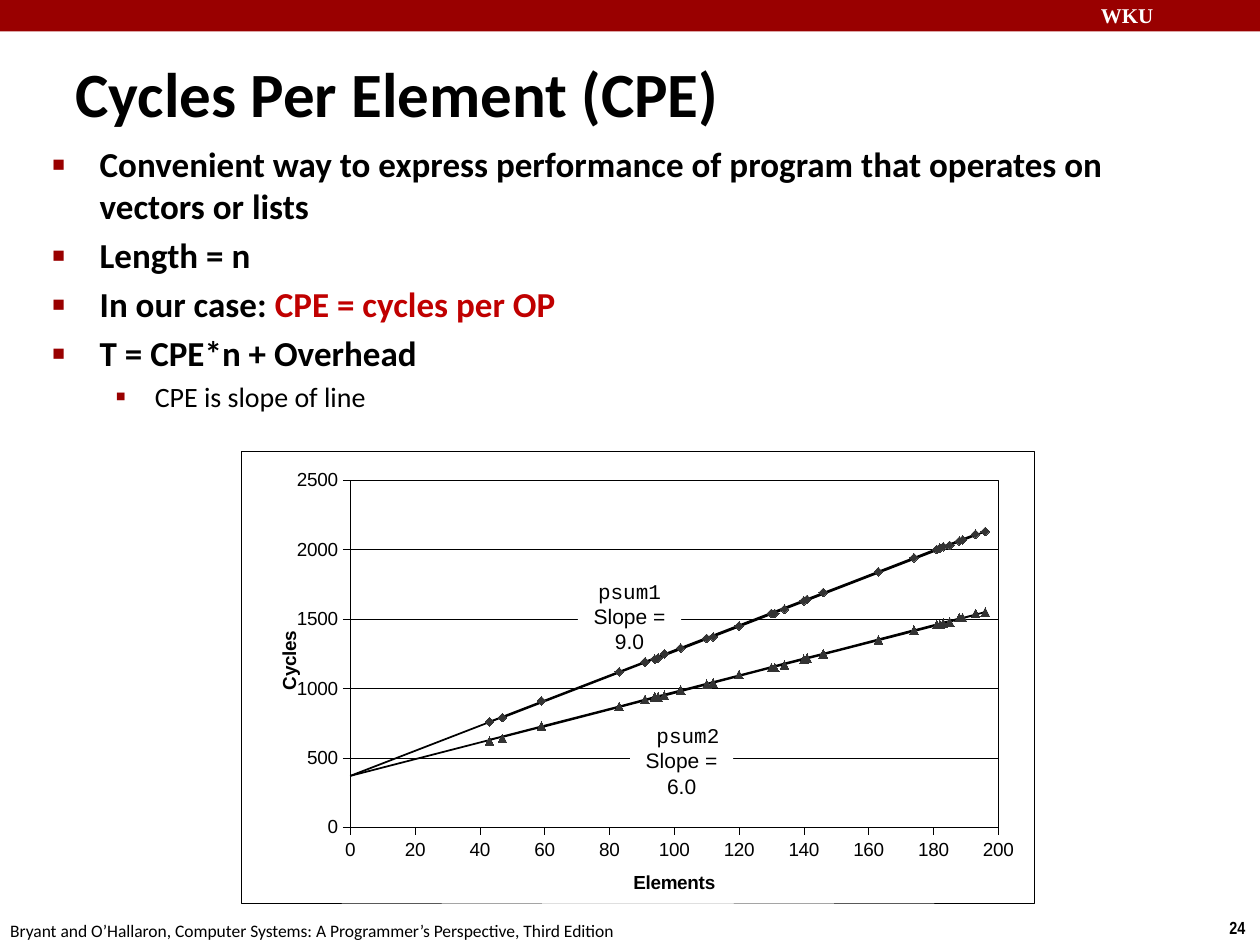
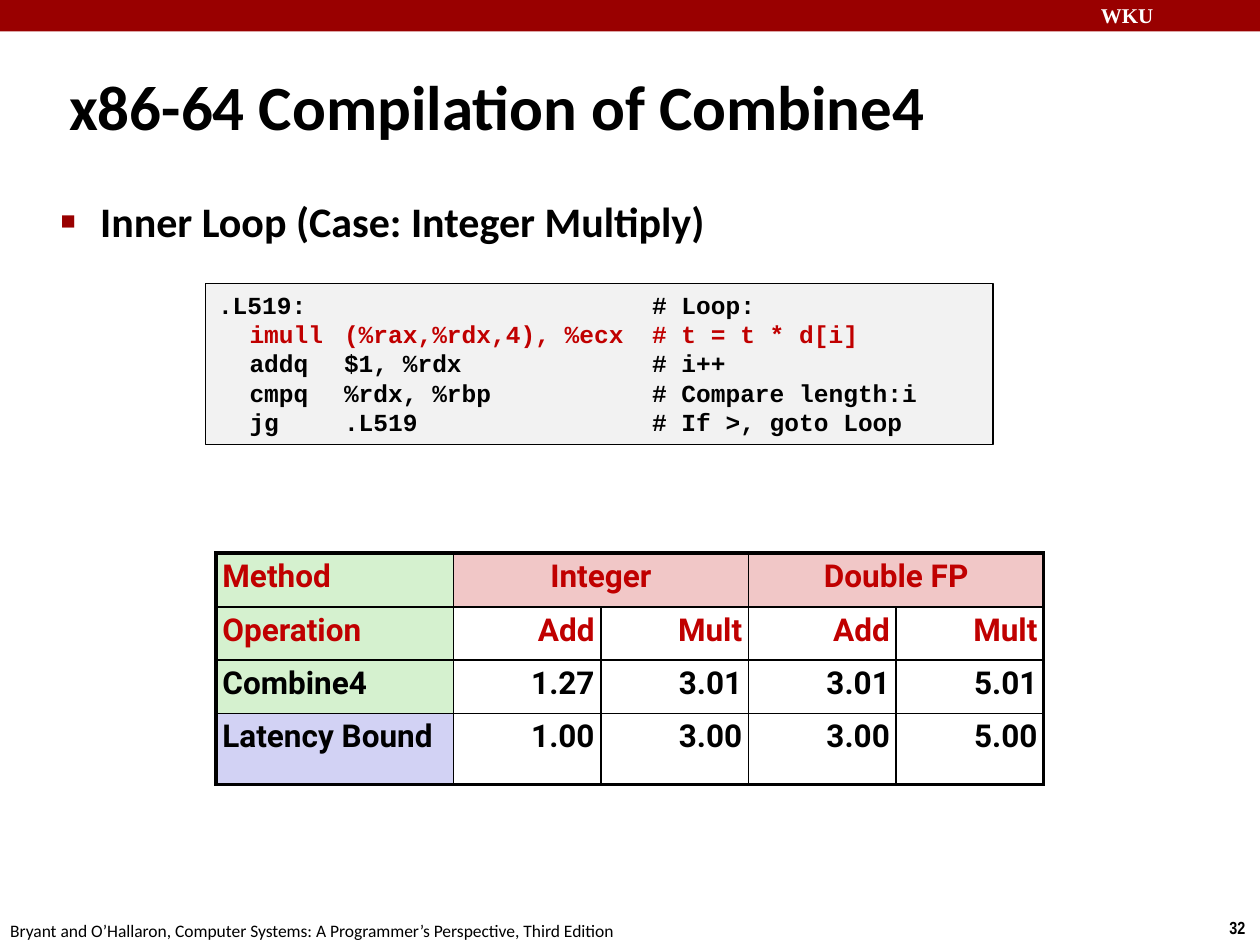
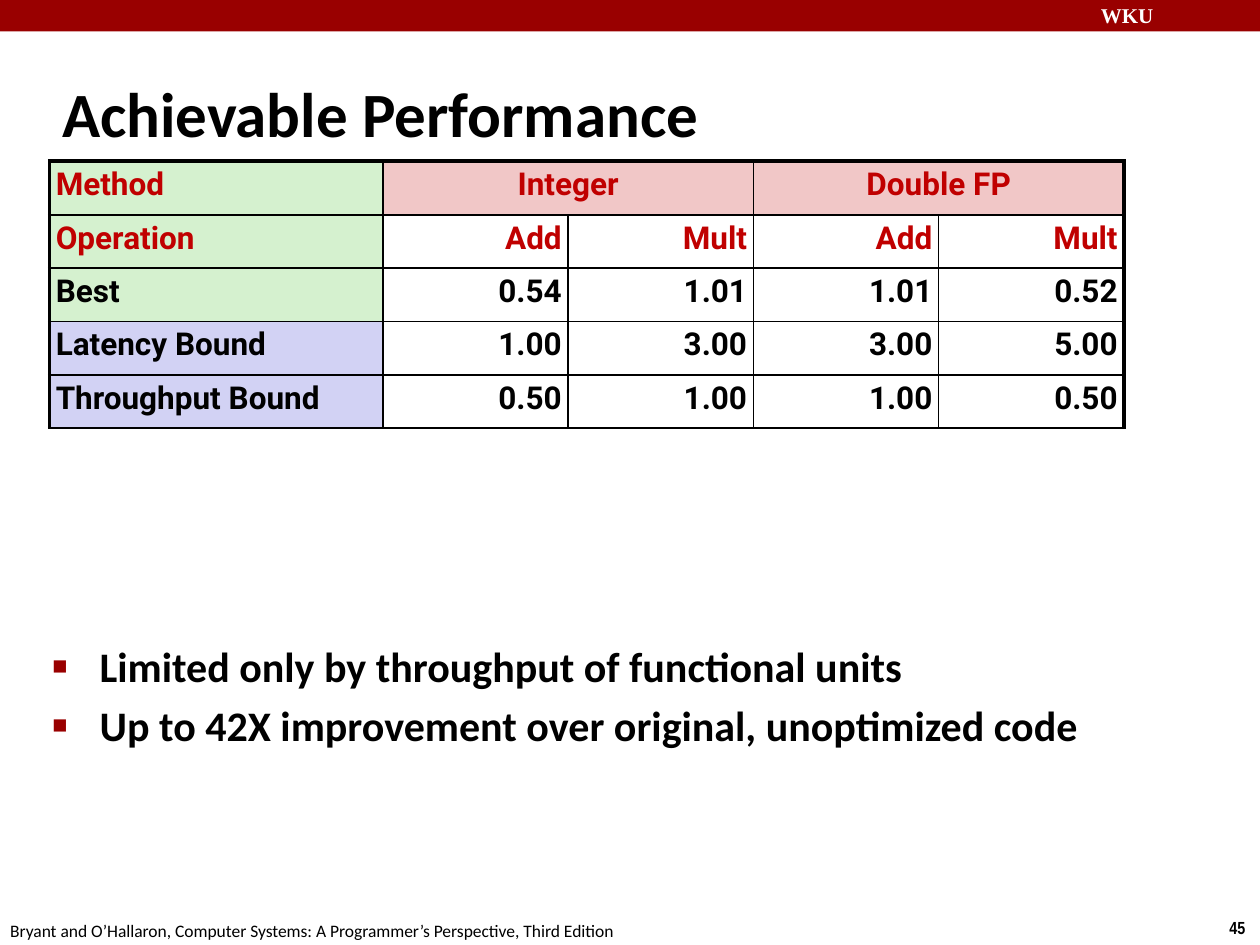
"""Build three slides on measuring and optimizing program performance."""
from dataclasses import dataclass

import lxml.etree
import pptx
import pptx.chart.data
import pptx.dml.color
import pptx.enum.chart
import pptx.enum.shapes
import pptx.enum.text
import pptx.oxml
import pptx.oxml.ns
import pptx.util

Pt = pptx.util.Pt
qn = pptx.oxml.ns.qn
Align = pptx.enum.text.PP_ALIGN
Anchor = pptx.enum.text.MSO_ANCHOR
AutoSize = pptx.enum.text.MSO_AUTO_SIZE
Marker = pptx.enum.chart.XL_MARKER_STYLE


@dataclass(frozen=True)
class Theme:
    black: str = "000000"
    white: str = "FFFFFF"
    band: str = "990000"
    accent: str = "C00000"
    marker: str = "333333"
    code_fill: str = "F2F2F2"
    method_fill: str = "D5F1CF"
    type_fill: str = "F1C7C7"
    bound_fill: str = "D2D2F4"
    text_font: str = "Calibri"
    code_font: str = "Courier New"
    chart_font: str = "Arial"
    table_font: str = "Roboto"
    title_size: float = 36
    table_size: float = 18
    code_size: float = 14
    label_size: float = 12
    chart_size: float = 10.8
    footer_size: float = 10
    thick: float = 2.25
    thin: float = 1
    hairline: float = 0.25


FOOTER = "Bryant and O’Hallaron, Computer Systems: A Programmer’s Perspective, Third Edition"

ELEMENTS = [0, 193, 120, 91, 95, 196, 97, 181, 91, 83, 43, 183, 140, 146, 94, 134,
            163, 131, 110, 182, 189, 112, 141, 185, 188, 47, 130, 102, 59, 174]
PSUM1_MEASURED = [None, 2110, 1450, 1190, 1220, 2130, 1250, 2000, 1190, 1120, 760,
                  2020, 1630, 1690, 1210, 1570, 1840, 1540, 1360, 2010, 2070,
                  1370, 1640, 2030, 2060, 790, 1540, 1290, 910, 1940]
PSUM1_FITTED = [370, 2110, 1450, 1190, 1220, 2130, 1240, 2000, 1190, 1120, 760,
                2020, 1630, 1680, 1220, 1580, 1840, 1550, 1360, 2010, 2070,
                1380, 1640, 2040, 2060, 790, 1540, 1290, 900, 1940]
PSUM2_MEASURED = [None, 1540, 1100, 920, 940, 1550, 950, 1460, 920, 870, 620,
                  1470, 1210, 1250, 940, 1170, 1350, 1150, 1030, 1460, 1510,
                  1040, 1220, 1480, 1510, 640, 1150, 990, 730, 1420]
PSUM2_FITTED = [370, 1530, 1090, 920, 940, 1550, 950, 1460, 920, 870, 630,
                1470, 1210, 1250, 930, 1180, 1350, 1160, 1030, 1460, 1510,
                1040, 1220, 1480, 1500, 650, 1150, 980, 720, 1420]
CHART_SERIES = [
    ("Series 1", PSUM1_MEASURED, Marker.DIAMOND),
    ("Series 2", PSUM1_FITTED, Marker.NONE),
    ("Series 3", PSUM2_MEASURED, Marker.TRIANGLE),
    ("Series 4", PSUM2_FITTED, Marker.NONE),
]

TABLE_HEAD = [
    ["Method", "Integer", "", "Double FP", ""],
    ["Operation", "Add", "Mult", "Add", "Mult"],
]
LATENCY_ROW = ["Latency Bound", "1.00", "3.00", "3.00", "5.00"]

INNER_LOOP = [
    ".L519:\t\t# Loop:",
    "\timull\t(%rax,%rdx,4), %ecx\t# t = t * d[i]",
    "\taddq\t$1, %rdx\t# i++",
    "\tcmpq\t%rdx, %rbp\t# Compare length:i",
    "\tjg\t.L519\t# If >, goto Loop",
]


def color(value):
    return pptx.dml.color.RGBColor.from_string(value)


def points(*lengths):
    return [Pt(length) for length in lengths]


def child(parent, tag, **attributes):
    return lxml.etree.SubElement(parent, qn(tag), attributes)


class Deck:
    def __init__(self, theme):
        self.theme = theme
        self.presentation = pptx.Presentation()
        self.presentation.slide_width = Pt(720)
        self.presentation.slide_height = Pt(540)
        self.slide = None

    def style(self, font, name, size, value=None, bold=False):
        font.name, font.size, font.bold = name, Pt(size), bold
        font.color.rgb = color(value or self.theme.black)

    def style_runs(self, paragraph, *style, **options):
        for run in paragraph.runs:
            self.style(run.font, *style, **options)

    def indent(self, paragraph, margin, hanging):
        properties = paragraph._p.get_or_add_pPr()
        properties.set("marL", str(Pt(margin)))
        properties.set("indent", str(-Pt(hanging)))
        return properties

    def add_slide(self, title, title_place, number):
        theme = self.theme
        self.slide = self.presentation.slides.add_slide(self.presentation.slide_layouts[1])
        self.add_box((0, 0, 720, 18), theme.band)
        self.add_text("WKU", (622, -2, 103, 21.5), "Times New Roman",
                      theme.label_size, theme.white, bold=True, wrap=True)
        self.add_text(str(number), (695.5, 520.5, 24.5, 19.5), "Arial Narrow",
                      theme.footer_size, bold=True)
        self.add_text(FOOTER, (-1.25, 522, 366, 19.5), theme.text_font, theme.footer_size)
        shape = self.slide.shapes.title
        self.place(shape, title_place)
        frame = shape.text_frame
        frame.text = title
        frame.auto_size = AutoSize.NONE
        frame.vertical_anchor = Anchor.MIDDLE
        paragraph = frame.paragraphs[0]
        paragraph.alignment = Align.LEFT
        self.indent(paragraph, 9, 9)
        self.style_runs(paragraph, theme.text_font, theme.title_size, bold=True)

    def place(self, shape, place):
        shape.left, shape.top, shape.width, shape.height = points(*place)

    def add_text(self, text, place, name, size, value=None, bold=False, wrap=False):
        frame = self.slide.shapes.add_textbox(*points(*place)).text_frame
        frame.text = text
        frame.word_wrap = wrap
        frame.auto_size = AutoSize.SHAPE_TO_FIT_TEXT
        self.style_runs(frame.paragraphs[0], name, size, value, bold)

    def add_box(self, place, fill, line=None):
        shape = self.slide.shapes.add_shape(
            pptx.enum.shapes.MSO_SHAPE.RECTANGLE, *points(*place))
        shape.shadow.inherit = False
        shape.fill.solid()
        shape.fill.fore_color.rgb = color(fill)
        if line:
            self.style_line(shape.line, self.theme.thin)
        else:
            shape.line.fill.background()
        return shape

    def add_list(self, items, place, size, margin=27):
        shape = self.slide.placeholders[1]
        self.place(shape, place)
        frame = shape.text_frame
        frame.auto_size = AutoSize.NONE
        frame.text = "\n".join(text for level, text, accent in items)
        for index, (paragraph, (level, text, accent)) in enumerate(
                zip(frame.paragraphs, items)):
            item_size = size - 4 * level
            paragraph.level = level
            self.add_bullet(paragraph, level, margin)
            paragraph.space_before = Pt(0.2 * item_size if index else 0)
            if accent:
                paragraph.add_run().text = accent
            self.style_runs(paragraph, self.theme.text_font, item_size, bold=level == 0)
            if accent:
                paragraph.runs[-1].font.color.rgb = color(self.theme.accent)

    def add_bullet(self, paragraph, level, margin):
        properties = self.indent(paragraph, *((58.5, 22.5) if level else (margin, margin)))
        child(child(properties, "a:buClr"), "a:srgbClr", val=self.theme.band)
        child(properties, "a:buSzPct", val="110000" if level else "60000")
        child(properties, "a:buFont", typeface=self.theme.chart_font)
        child(properties, "a:buChar", char="▪" if level else "■")

    def add_code(self, lines, place, tab_stops, accent_line):
        theme = self.theme
        frame = self.add_box(place, theme.code_fill, theme.black).text_frame
        frame.text = "\n".join(lines)
        frame.word_wrap = True
        frame.vertical_anchor = Anchor.TOP
        for index, paragraph in enumerate(frame.paragraphs):
            paragraph.alignment = Align.LEFT
            tabs = child(paragraph._p.get_or_add_pPr(), "a:tabLst")
            for stop in tab_stops:
                child(tabs, "a:tab", pos=str(Pt(stop)), algn="l")
            self.style_runs(paragraph, theme.code_font, theme.code_size,
                            theme.accent if index == accent_line else theme.black, bold=True)

    def add_label(self, name, slope, left, top):
        theme = self.theme
        frame = self.add_box((left, top, 59, 26.5), theme.white).text_frame
        frame.text = f"{name}\nSlope = {slope}"
        frame.word_wrap = True
        frame.auto_size = AutoSize.SHAPE_TO_FIT_TEXT
        frame.vertical_anchor = Anchor.TOP
        frame.margin_left = frame.margin_top = frame.margin_right = Pt(2)
        frame.margin_bottom = 0
        for paragraph, font in zip(frame.paragraphs, (theme.code_font, theme.chart_font)):
            paragraph.alignment = Align.CENTER
            self.style_runs(paragraph, font, theme.label_size)

    def add_table(self, rows, place, first_width, bottom_width, last_height=30.5):
        left, top, width = place
        heights = [30.75] + [30.5] * (len(rows) - 2) + [last_height]
        table = self.slide.shapes.add_table(
            len(rows), len(rows[0]), *points(left, top, width, sum(heights))).table
        table.first_row = table.horz_banding = False
        other_width = (width - first_width) / (len(rows[0]) - 1)
        for index, column in enumerate(table.columns):
            column.width = Pt(other_width if index else first_width)
        for row, height in zip(table.rows, heights):
            row.height = Pt(height)
        for column in (1, 3):
            table.cell(0, column).merge(table.cell(0, column + 1))
        for row, texts in enumerate(rows):
            for column, text in enumerate(texts):
                cell = table.cell(row, column)
                if not cell.is_spanned:
                    self.format_cell(cell, text, row, column, len(rows) - 1, bottom_width)

    def format_cell(self, cell, text, row, column, last_row, bottom_width):
        theme = self.theme
        at_right = column + cell.span_width == 5
        borders = {
            "a:lnL": theme.thin if column else theme.thick,
            "a:lnR": theme.thick if at_right else theme.thin,
            "a:lnT": theme.thin if row else theme.thick,
            "a:lnB": bottom_width if row == last_row else theme.thin,
        }
        properties = cell._tc.get_or_add_tcPr()
        for tag, width in borders.items():
            line = child(properties, tag, w=str(Pt(width)))
            child(child(line, "a:solidFill"), "a:srgbClr", val=theme.black)
        if column and row:
            cell.fill.background()
        else:
            cell.fill.solid()
            first_fill = theme.bound_fill if "Bound" in text else theme.method_fill
            cell.fill.fore_color.rgb = color(theme.type_fill if column else first_fill)
        cell.margin_left = cell.margin_top = cell.margin_right = cell.margin_bottom = Pt(3.6)
        cell.text_frame.text = text
        paragraph = cell.text_frame.paragraphs[0]
        paragraph.line_spacing = 0.95
        if column:
            paragraph.alignment = Align.RIGHT if row else Align.CENTER
        self.style_runs(paragraph, theme.table_font, theme.table_size,
                        theme.black if row > 1 else theme.accent, bold=True)

    def add_chart(self, series_list, place):
        theme = self.theme
        data = pptx.chart.data.XyChartData()
        for name, values, marker in series_list:
            series = data.add_series(name)
            for elements, cycles in zip(ELEMENTS, values):
                series.add_data_point(elements, cycles)
        chart = self.slide.shapes.add_chart(
            pptx.enum.chart.XL_CHART_TYPE.XY_SCATTER, *points(*place), data).chart
        for point in list(chart.element.iter(qn("c:pt"))):
            if point.findtext(qn("c:v")) == "None":
                point.getparent().remove(point)
        chart.has_legend = chart.has_title = False
        self.style(chart.font, theme.chart_font, theme.chart_size)
        chart.plots[0].vary_by_categories = False
        for series, (name, values, marker) in zip(chart.plots[0].series, series_list):
            series.marker.style = marker
            if marker == Marker.NONE:
                self.style_line(series.format.line, theme.thin)
            else:
                series.format.line.fill.background()
                series.marker.size = 5
                series.marker.format.fill.solid()
                series.marker.format.fill.fore_color.rgb = color(theme.marker)
                series.marker.format.line.color.rgb = color(theme.marker)
        self.style_axis(chart.category_axis, "Elements", 200, 20, x=0.49, y=0.92)
        self.style_axis(chart.value_axis, "Cycles", 2500, 500, x=0.04, y=0.39)
        chart.value_axis.has_major_gridlines = True
        self.style_line(chart.value_axis.major_gridlines.format.line, theme.hairline)
        self.frame_chart(chart.element)

    def style_line(self, line, width):
        line.color.rgb = color(self.theme.black)
        line.width = Pt(width)

    def style_axis(self, axis, title, maximum, unit, **title_place):
        theme = self.theme
        axis.minimum_scale, axis.maximum_scale, axis.major_unit = 0, maximum, unit
        axis.has_major_gridlines = False
        axis.major_tick_mark = pptx.enum.chart.XL_TICK_MARK.OUTSIDE
        axis.minor_tick_mark = pptx.enum.chart.XL_TICK_MARK.NONE
        self.style(axis.tick_labels.font, theme.chart_font, theme.chart_size)
        self.style_line(axis.format.line, theme.hairline)
        frame = axis.axis_title.text_frame
        frame.text = title
        self.style_runs(frame.paragraphs[0], theme.chart_font, theme.chart_size, bold=True)
        self.set_layout(axis.axis_title._element, 1, xMode="edge", yMode="edge", **title_place)

    def set_layout(self, parent, position, **settings):
        for layout in parent.findall(qn("c:layout")):
            parent.remove(layout)
        layout = child(parent, "c:layout")
        manual = child(layout, "c:manualLayout")
        for tag, value in settings.items():
            child(manual, f"c:{tag}", val=str(value))
        parent.insert(position, layout)

    def frame_chart(self, chart_space):
        body = chart_space.find(qn("c:chart"))
        plot_area = body.find(qn("c:plotArea"))
        self.set_layout(plot_area, 0, layoutTarget="inner", xMode="edge", yMode="edge",
                        x=0.137, y=0.063, w=0.818, h=0.77)
        self.add_frame(plot_area)
        body.addnext(self.add_frame(chart_space))
        body.addprevious(child(chart_space, "c:roundedCorners", val="0"))

    def add_frame(self, parent):
        properties = child(parent, "c:spPr")
        fill = child(properties, "a:solidFill")
        child(fill, "a:srgbClr", val=self.theme.white)
        line = child(properties, "a:ln", w=str(Pt(self.theme.hairline)))
        child(child(line, "a:solidFill"), "a:srgbClr", val=self.theme.black)
        return properties


def main():
    theme = Theme()
    deck = Deck(theme)

    deck.add_slide("Cycles Per Element (CPE)", (36, 30, 641, 45.5), 24)
    deck.add_list([
        (0, "Convenient way to express performance of program that operates on "
            "vectors or lists", ""),
        (0, "Length = n", ""),
        (0, "In our case: ", "CPE = cycles per OP"),
        (0, "T = CPE*n + Overhead", ""),
        (1, "CPE is slope of line", ""),
    ], (22.75, 78, 654.5, 119.5), 20)
    deck.add_chart(CHART_SERIES, (138, 258, 453, 258))
    deck.add_label("psum1", "9.0", 330.25, 328.5)
    deck.add_label(" psum2", "6.0", 360, 411)

    deck.add_slide("x86-64 Compilation of Combine4", (32.25, 30, 597.5, 60), 32)
    deck.add_list([(0, "Inner Loop (Case: Integer Multiply)", "")],
                  (27.5, 108, 650, 54), 24, margin=22.5)
    deck.add_code(INNER_LOOP, (117.5, 162, 450, 92), (18, 72, 248), accent_line=1)
    deck.add_table([*TABLE_HEAD, ["Combine4", "1.27", "3.01", "3.01", "5.01"], LATENCY_ROW],
                   (123.5, 316, 473), 135.5, theme.thick, last_height=40.5)

    deck.add_slide("Achievable Performance", (28.25, 34.25, 597.5, 60), 45)
    deck.add_list([
        (0, "Limited only by throughput of functional units", ""),
        (0, "Up to 42X improvement over original, unoptimized code", ""),
    ], (22.75, 362.5, 654.5, 147.5), 24)
    deck.add_table([*TABLE_HEAD, ["Best", "0.54", "1.01", "1.01", "0.52"], LATENCY_ROW,
                    ["Throughput Bound", "0.50", "1.00", "1.00", "0.50"]],
                   (28.25, 92, 614), 190.5, theme.thin)

    deck.presentation.save("out.pptx")


if __name__ == "__main__":
    main()
